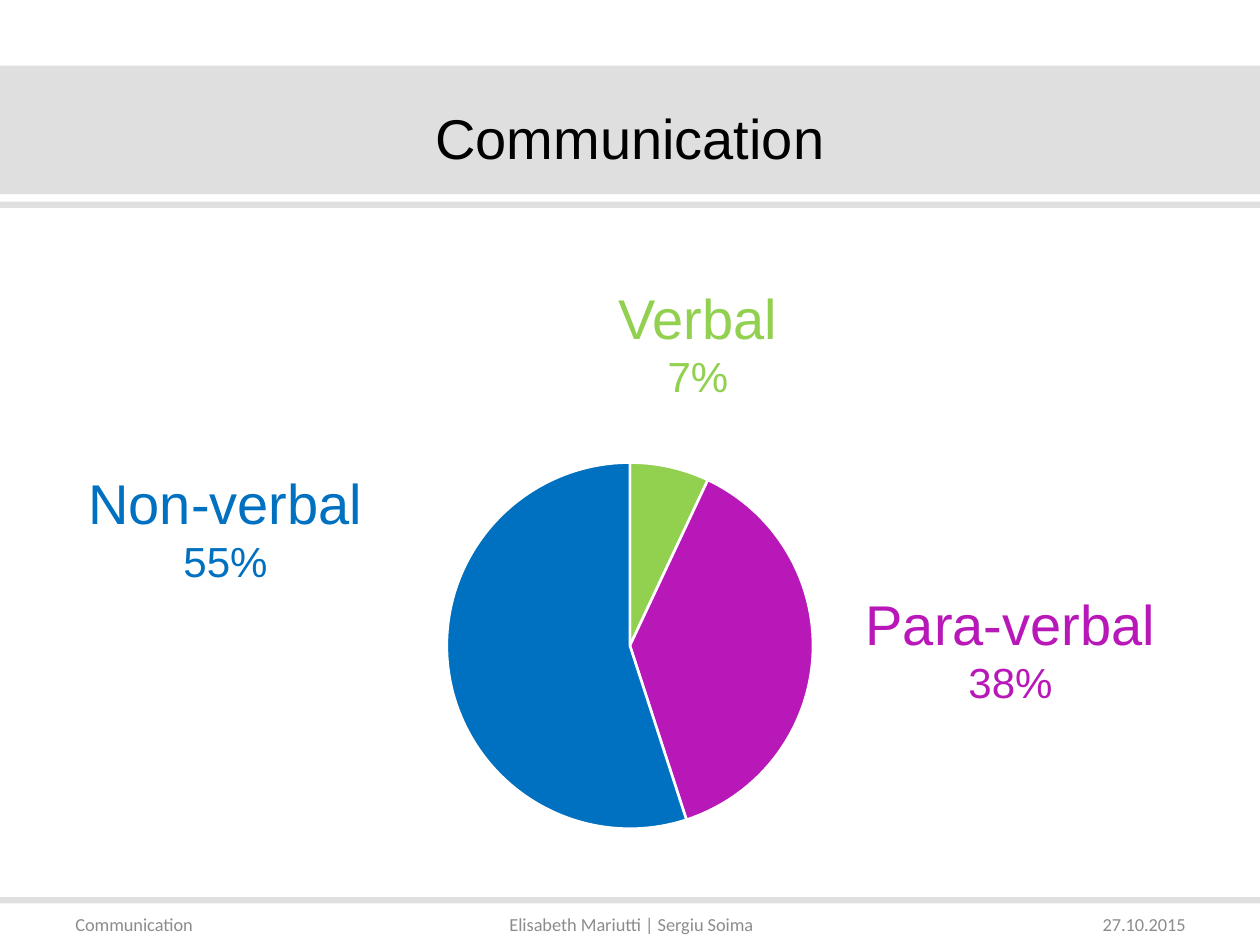
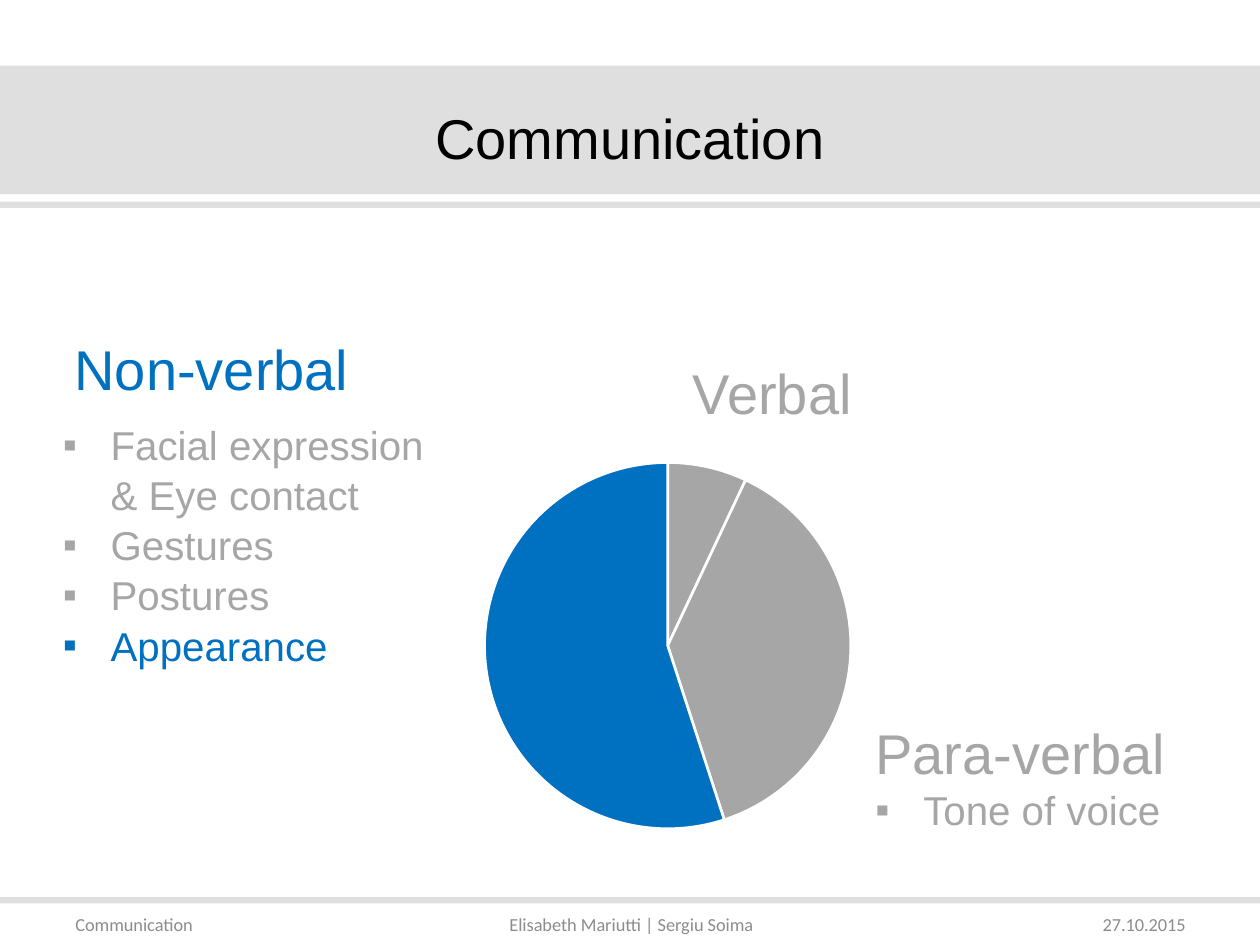
from dataclasses import dataclass

from lxml.etree import SubElement
from pptx import Presentation
from pptx.chart.data import CategoryChartData
from pptx.dml.color import RGBColor
from pptx.enum.chart import XL_CHART_TYPE
from pptx.enum.shapes import MSO_SHAPE
from pptx.enum.text import MSO_ANCHOR, PP_ALIGN
from pptx.oxml import parse_xml
from pptx.oxml.ns import nsdecls, qn
from pptx.util import Inches, Pt


@dataclass(frozen=True)
class Theme:
    green: str = "92D050"
    purple: str = "B818B8"
    blue: str = "0070C0"
    muted: str = "A6A6A6"
    band: str = "DFDFDF"
    black: str = "000000"
    white: str = "FFFFFF"
    footer: str = "8C8C8C"
    body_font: str = "Arial"
    footer_font: str = "Calibri"
    heading_size: float = 32
    share_size: float = 24
    bullet_size: float = 23
    footer_size: float = 10.5


THEME = Theme()
LEFT, CENTER, RIGHT = PP_ALIGN.LEFT, PP_ALIGN.CENTER, PP_ALIGN.RIGHT

TITLE = "Communication"
SHARES = {"Verbal": 7, "Para-verbal": 38, "Non-verbal": 55}
BANDS = [(0.52, 1.02), (1.6, 0.05), (7.12, 0.05)]  # top, height
FOOTERS = [  # text, left, width, alignment
    ("Communication", 0.5, 2.33, LEFT),
    (" Elisabeth Mariutti | Sergiu Soima", 2.82, 4.35, CENTER),
    ("27.10.2015", 7.68, 1.83, RIGHT),
]
PIE_TOP, PIE_WIDTH, PIE_HEIGHT = 3.51, 3.24, 3.23
LABEL_WIDTH, LABEL_HEIGHT = 2.8, 1

OVERVIEW = {
    "pie_left": 3.38,
    "colors": {"Verbal": THEME.green, "Para-verbal": THEME.purple,
               "Non-verbal": THEME.blue},
    "labels": {"Verbal": (4.14, 2.2), "Para-verbal": (6.62, 4.63),
               "Non-verbal": (0.39, 3.67)},
}
NON_VERBAL = {
    "pie_left": 3.68,
    "colors": {"Verbal": THEME.muted, "Para-verbal": THEME.muted,
               "Non-verbal": THEME.blue},
    "labels": {"Verbal": (4.73, 2.8), "Non-verbal": (0.28, 2.61)},
}
TONE = "Tone of voice"
SIGNALS = [
    ("Facial expression\v& Eye contact", THEME.muted),
    ("Gestures", THEME.muted),
    ("Postures", THEME.muted),
    ("Appearance", THEME.blue),
]


def rgb(code):
    return RGBColor.from_string(code)


def add_bullet(paragraph):
    properties = paragraph._p.get_or_add_pPr()
    properties.set("marL", str(Inches(0.38)))
    properties.set("indent", str(-Inches(0.38)))
    SubElement(properties, qn("a:buFont")).set("typeface", THEME.body_font)
    SubElement(properties, qn("a:buChar")).set("char", "▪")


def line(text, size, color, bullet=False, spacing=None):
    return {"text": text, "size": size, "color": color,
            "bullet": bullet, "spacing": spacing}


def add_text(slide, lines, left, top, width, height, *, align=LEFT,
             anchor=MSO_ANCHOR.MIDDLE, font=THEME.body_font, wrap=True):
    """Place a list of line() entries, one paragraph each."""
    box = slide.shapes.add_textbox(*map(Inches, (left, top, width, height)))
    frame = box.text_frame
    frame.word_wrap = wrap
    frame.vertical_anchor = anchor
    for index, entry in enumerate(lines):
        paragraph = frame.add_paragraph() if index else frame.paragraphs[0]
        paragraph.text = entry["text"]
        paragraph.alignment = align
        if entry["spacing"]:
            paragraph.line_spacing = entry["spacing"]
        if entry["bullet"]:
            add_bullet(paragraph)
        for run in paragraph.runs:
            run.font.name = font
            run.font.size = Pt(entry["size"])
            run.font.color.rgb = rgb(entry["color"])


def add_frame(slide):
    """Draw the bands, title and footers shared by the slides."""
    for top, height in BANDS:
        band = slide.shapes.add_shape(
            MSO_SHAPE.RECTANGLE, 0, Inches(top), Inches(10), Inches(height))
        band.shadow.inherit = False
        band.fill.solid()
        band.fill.fore_color.rgb = rgb(THEME.band)
        band.line.fill.background()
    add_text(slide, [line(TITLE, THEME.heading_size, THEME.black)],
             0, 0.52, 10, 1.13, align=CENTER)
    for text, left, width, align in FOOTERS:
        add_text(slide, [line(text, THEME.footer_size, THEME.footer)],
                 left, 7.17, width, 0.33, align=align, font=THEME.footer_font)


def add_pie(slide, left, colors):
    data = CategoryChartData()
    data.categories = list(SHARES)
    data.add_series("Series 1", list(SHARES.values()))
    chart = slide.shapes.add_chart(
        XL_CHART_TYPE.PIE,
        *map(Inches, (left, PIE_TOP, PIE_WIDTH, PIE_HEIGHT)), data).chart
    chart.has_legend = False
    chart.has_title = False
    chart.font.name = THEME.footer_font
    chart.font.size = Pt(10)
    chart.font.color.rgb = rgb(THEME.black)
    plot = chart.plots[0]
    plot.vary_by_categories = True
    for index, name in enumerate(SHARES):
        slice_format = plot.series[0].points[index].format
        slice_format.fill.solid()
        slice_format.fill.fore_color.rgb = rgb(colors[name])
        slice_format.line.color.rgb = rgb(THEME.white)
        slice_format.line.width = Pt(1.5)

    area = chart._chartSpace.chart.plotArea
    for layout in area.findall(qn("c:layout")):
        area.remove(layout)
    settings = [("layoutTarget", "inner"), ("xMode", "edge"), ("yMode", "edge"),
                ("x", 0.05), ("y", 0.05), ("w", 0.9), ("h", 0.9)]
    inner = "".join(f'<c:{tag} val="{value}"/>' for tag, value in settings)
    area.insert(0, parse_xml(
        f'<c:layout {nsdecls("c")}><c:manualLayout>{inner}'
        "</c:manualLayout></c:layout>"))


def add_communication_slide(deck, content, show_shares):
    slide = deck.slides.add_slide(deck.slide_layouts[6])
    add_frame(slide)
    add_pie(slide, content["pie_left"], content["colors"])
    for name, (left, top) in content["labels"].items():
        color = content["colors"][name]
        lines = [line(name, THEME.heading_size, color)]
        if show_shares:
            lines.append(line(f"{SHARES[name]}%", THEME.share_size, color))
        add_text(slide, lines, left, top, LABEL_WIDTH, LABEL_HEIGHT,
                 align=CENTER, anchor=MSO_ANCHOR.TOP)
    return slide


def main():
    deck = Presentation()
    deck.slide_width, deck.slide_height = Inches(10), Inches(7.5)
    add_communication_slide(deck, OVERVIEW, show_shares=True)

    detail = add_communication_slide(deck, NON_VERBAL, show_shares=False)
    add_text(detail, [
        line("Para-verbal", THEME.heading_size, THEME.muted),
        line(TONE, THEME.bullet_size, THEME.muted, bullet=True),
    ], 6.85, 5.66, LABEL_WIDTH, LABEL_HEIGHT, wrap=False)
    add_text(detail, [
        line(text, THEME.bullet_size, color, bullet=True, spacing=1.04)
        for text, color in SIGNALS
    ], 0.4, 2.9, 3.43, 2.83, wrap=False)
    deck.save("out.pptx")


if __name__ == "__main__":
    main()
